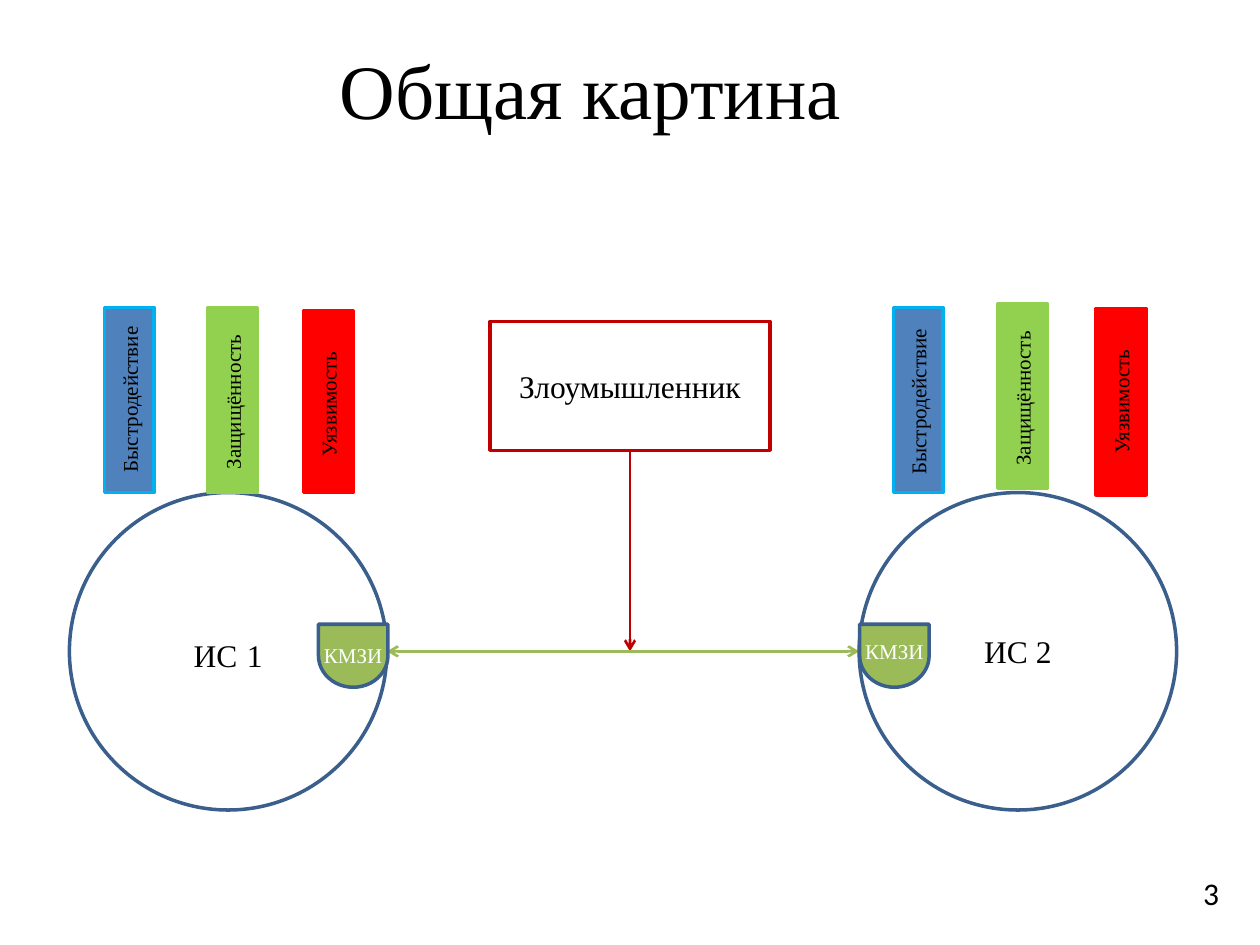
from dataclasses import dataclass

import lxml.etree
import pptx
import pptx.dml.color
import pptx.enum.shapes
import pptx.enum.text
import pptx.oxml.ns
import pptx.util

Cm = pptx.util.Cm
Pt = pptx.util.Pt
SHAPE = pptx.enum.shapes.MSO_SHAPE
ALIGN = pptx.enum.text.PP_ALIGN


@dataclass(frozen=True)
class Theme:
    """Colours, fonts and sizes of the slide."""
    serif: str = "Times New Roman"
    sans: str = "Calibri"
    title: int = 44
    gap: int = 24
    body: int = 18
    small: int = 12
    outline: float = 2
    arrow: float = 1.5
    black: str = "000000"
    white: str = "FFFFFF"
    navy: str = "3A5F8C"
    olive: str = "9BBB59"
    danger: str = "C00000"
    blue: str = "4F81BD"
    cyan: str = "00B0F0"
    green: str = "92D050"
    red: str = "FF0000"


T = Theme()
METRICS = (("Быстродействие", T.blue, T.cyan),
           ("Защищённость", T.green, T.green),
           ("Уязвимость", T.red, T.red))


def rgb(color):
    """Turn a hex string into a colour."""
    return pptx.dml.color.RGBColor.from_string(color)


def add_box(shapes, kind, x, y, w, h, line, fill=None):
    """Add an outlined shape, hollow unless a fill is given."""
    sp = shapes.add_shape(kind, Cm(x), Cm(y), Cm(w), Cm(h))
    sp.shadow.inherit = False
    sp.line.color.rgb = rgb(line)
    sp.line.width = Pt(T.outline)
    if fill:
        sp.fill.solid()
        sp.fill.fore_color.rgb = rgb(fill)
    else:
        sp.fill.background()
    return sp


def add_label(shapes, cx, cy, w, h, runs, size=T.body, color=T.black,
              font=T.serif, align=ALIGN.CENTER):
    """Add a text box centred on a point."""
    sp = shapes.add_textbox(Cm(cx - w / 2), Cm(cy - h / 2), Cm(w), Cm(h))
    tf = sp.text_frame
    tf.word_wrap = True
    p = tf.paragraphs[0]
    p.alignment = align
    p.font.size = Pt(size)
    p.font.name = font
    p.font.color.rgb = rgb(color)
    for text in runs:
        r = p.add_run()
        r.text = text
        if text == " ":
            r.font.size = Pt(T.gap)
            r.font.name = T.sans
    return sp


def add_arrow(shapes, x1, y1, x2, y2, color, ends):
    """Add a straight line with open arrowheads at the named ends."""
    cxn = shapes.add_connector(pptx.enum.shapes.MSO_CONNECTOR.STRAIGHT,
                               Cm(x1), Cm(y1), Cm(x2), Cm(y2))
    cxn.line.color.rgb = rgb(color)
    cxn.line.width = Pt(T.arrow)
    ln = cxn.line._get_or_add_ln()
    for end in ends:
        lxml.etree.SubElement(ln, pptx.oxml.ns.qn(f"a:{end}"), type="arrow")
    lxml.etree.SubElement(cxn._element.spPr, pptx.oxml.ns.qn("a:effectLst"))


def add_gateway(shapes, cx, cy, label_y):
    """Add the cryptographic module as a half-round badge."""
    group = shapes.add_group_shape().shapes
    w, h = 1.27, 1.4
    sp = add_box(group, SHAPE.FLOWCHART_DELAY, cx - w / 2, cy - h / 2, w, h,
                 T.navy, T.olive)
    sp.rotation = 90
    add_label(group, cx, label_y, 2, 0.76, ["КМЗИ"], T.small, T.white)


def add_system(shapes, x, y, size, name, name_h, gate_x, gate_label_y, bars):
    """Add an information system: circle, name, gateway and metric bars."""
    add_box(shapes, SHAPE.OVAL, x, y, size, size, T.navy)
    add_label(shapes, x + size / 2, y + size / 2, 2.39, name_h, name)
    add_gateway(shapes, x + gate_x, y + 3.29, y + gate_label_y)
    for (text, fill, line), (dx, top, bottom, label_y) in zip(METRICS, bars):
        add_box(shapes, SHAPE.RECTANGLE, x + dx, y + top, 1, bottom - top,
                line, fill)
        sp = add_label(shapes, x + dx + 0.5, y + label_y, 3.71, 0.76, [text],
                       T.small)
        sp.rotation = 270


def add_attacker(shapes, x, y, w, h, target_y):
    """Add the attacker box and its arrow down to the channel."""
    group = shapes.add_group_shape().shapes
    add_box(group, SHAPE.RECTANGLE, x, y, w, h, T.danger)
    add_arrow(group, x + w / 2, y + h, x + w / 2, target_y, T.danger,
              ["tailEnd"])
    add_label(group, x + w / 2, y + h / 2 + 0.01, w, 1.02, ["Злоумышленник"])


def main():
    """Build the slide and save it."""
    prs = pptx.Presentation()
    prs.slide_width, prs.slide_height = Cm(25.4), Cm(19.05)
    shapes = prs.slides.add_slide(prs.slide_layouts[6]).shapes

    size, top, left, right = 6.4, 9.93, 1.4, 17.32
    axis = top + size / 2
    add_label(shapes, 11.9, 1.8, 12.22, 2.13, ["Общая картина"], T.title)
    add_attacker(shapes, 9.88, 6.48, 5.64, 2.6, axis)
    add_arrow(shapes, left + size, axis, right, axis, T.olive,
              ["headEnd", "tailEnd"])
    add_system(shapes, left, top, size, ["ИС", " ", "1"], 1.27, 5.72, 3.28,
               ((0.71, -3.73, 0, -1.88),
                (2.79, -3.73, 0, -1.83),
                (4.72, -3.66, 0, -1.78)))
    add_system(shapes, right, top, size, ["ИС 2"], 1.02, 0.71, 3.2,
               ((0.69, -3.73, 0, -1.83),
                (2.79, -3.81, -0.08, -1.9),
                (4.78, -3.71, 0.05, -1.83)))
    add_label(shapes, 24.4, 18.01, 0.79, 1.02, ["3"], font=T.sans,
              align=ALIGN.LEFT)
    prs.save("out.pptx")


if __name__ == "__main__":
    main()
